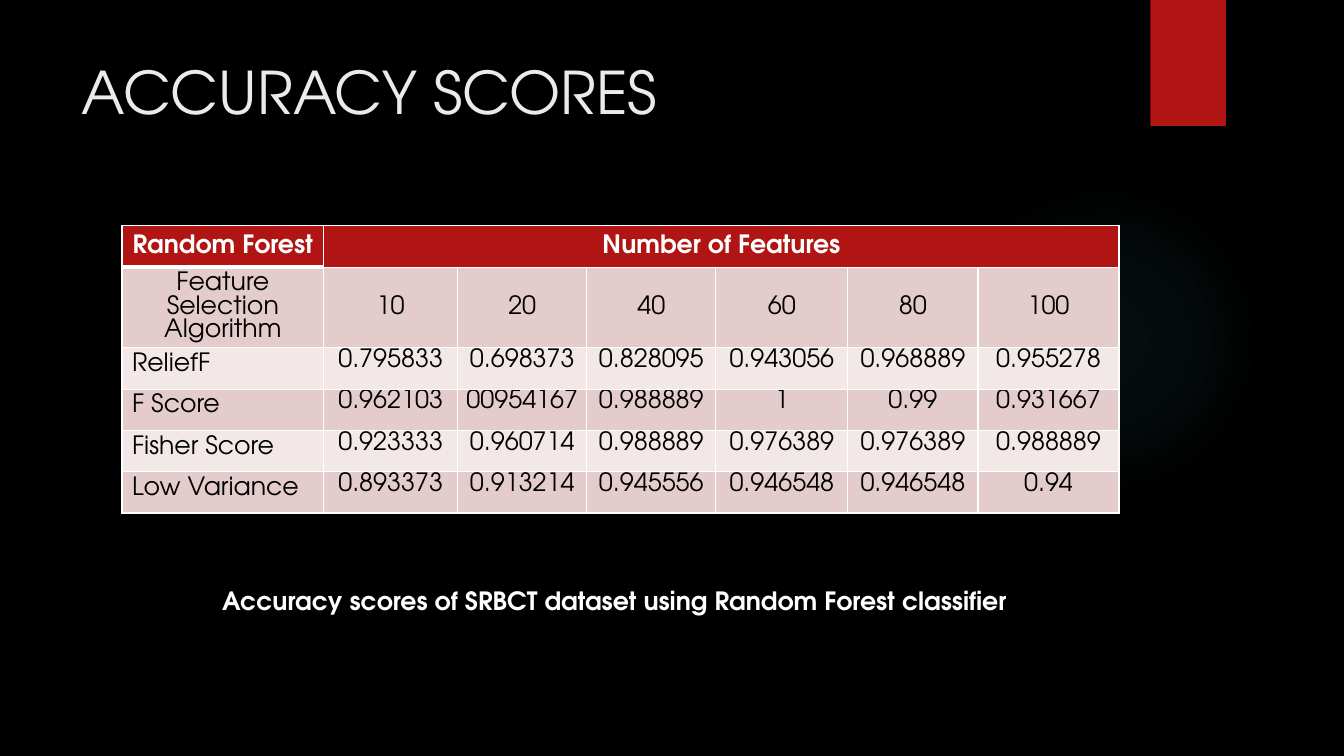
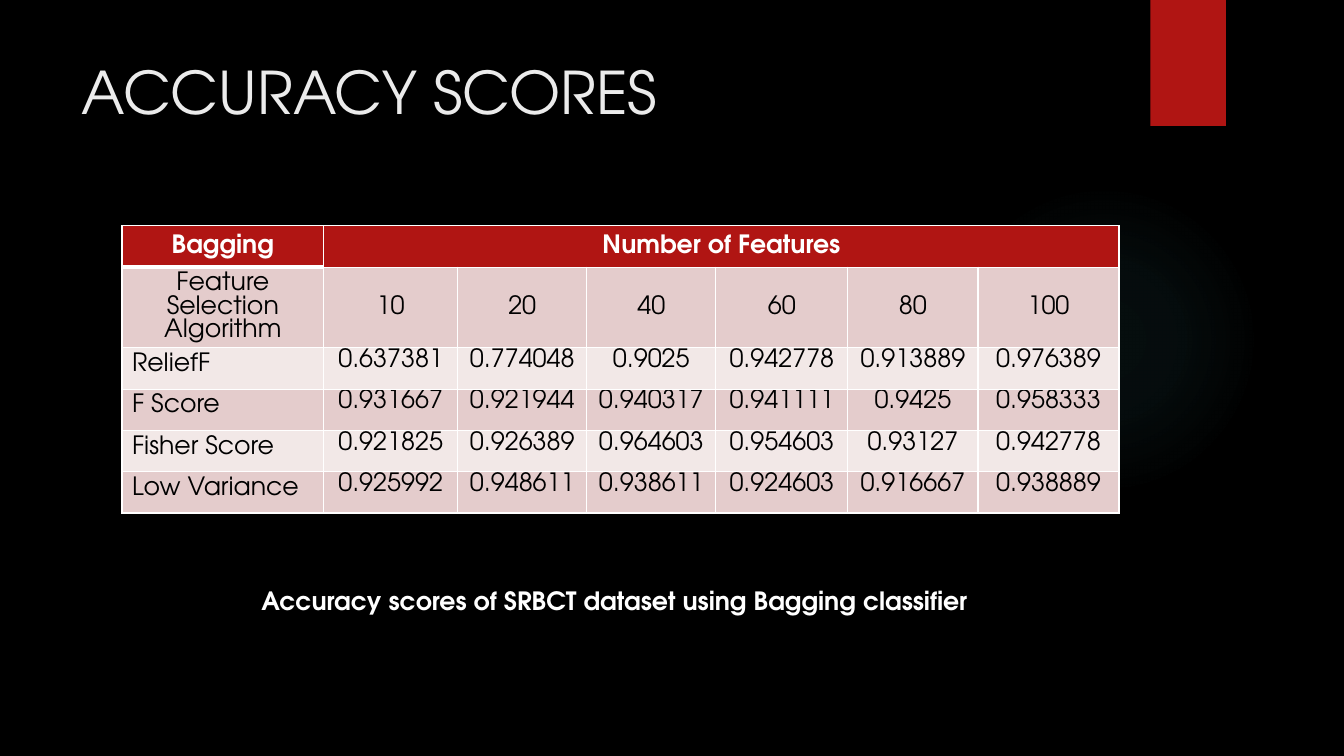
from lxml import etree
from pptx import Presentation
from pptx.dml.color import RGBColor
from pptx.enum.shapes import MSO_SHAPE
from pptx.enum.text import MSO_ANCHOR, MSO_AUTO_SIZE, PP_ALIGN
from pptx.oxml import parse_xml
from pptx.oxml.ns import nsdecls, qn
from pptx.util import Inches, Pt

LEFT, CENTER = PP_ALIGN.LEFT, PP_ALIGN.CENTER
TOP, MIDDLE = MSO_ANCHOR.TOP, MSO_ANCHOR.MIDDLE
NO_FIT = MSO_AUTO_SIZE.NONE
RECT, OVAL = MSO_SHAPE.RECTANGLE, MSO_SHAPE.OVAL

FONT = "TeX Gyre Adventor"
COLORS = {
    "back": "000000",
    "accent": "B01513",
    "glow": "50B9C1",
    "title": "EBEBEB",
    "light": "FFFFFF",
    "dark": "000000",
    "band": "E4CCCC",
    "band_pale": "F2E8E7",
}
GLOW_STOPS = [(0, 7), (36, 6), (69, 0)]

GLOW_BOX = (9.41, 1.83, 3.08, 3.08)
TAB_BOX = (11.41, 0, 0.75, 1.25)
TITLE_BOX = (0.71, 0.5, 10.29, 1.53)
TABLE_BOX = (1.21, 2.24, 9.9, 2.84)
CAPTION_BOX = (1.31, 5.76, 9.57, 0.4)

COL_WIDTHS = [2, 1.33, 1.28, 1.28, 1.31, 1.29, 1.4]
ROW_HEIGHTS = [0.41, 0.79, 0.41, 0.41, 0.41, 0.41]
FEATURE_COUNTS = ["10", "20", "40", "60", "80", "100"]
ALGORITHMS = ["ReliefF", "F Score", "Fisher Score", "Low Variance"]

CLASSIFIERS = {
    "Random Forest": [
        ["0.795833", "0.698373", "0.828095", "0.943056", "0.968889", "0.955278"],
        ["0.962103", "00954167", "0.988889", "1", "0.99", "0.931667"],
        ["0.923333", "0.960714", "0.988889", "0.976389", "0.976389", "0.988889"],
        ["0.893373", "0.913214", "0.945556", "0.946548", "0.946548", "0.94"],
    ],
    "Bagging": [
        ["0.637381", "0.774048", "0.9025", "0.942778", "0.913889", "0.976389"],
        ["0.931667", "0.921944", "0.940317", "0.941111", "0.9425", "0.958333"],
        ["0.921825", "0.926389", "0.964603", "0.954603", "0.93127", "0.942778"],
        ["0.925992", "0.948611", "0.938611", "0.924603", "0.916667", "0.938889"],
    ],
}


def rgb(name):
    return RGBColor.from_string(COLORS[name])


def inches(box):
    return [Inches(v) for v in box]


def set_attrs(target, values):
    for name, value in values.items():
        setattr(target, name, value)


def write(tf, text, color, size=18, bold=False, align=CENTER, spacing=None):
    p = tf.paragraphs[0]
    set_attrs(p, {"alignment": align, "line_spacing": spacing})
    r = p.add_run()
    r.text = text
    set_attrs(r.font, {"name": FONT, "size": Pt(size), "bold": bold})
    r.font.color.rgb = rgb(color)


def add_plain_shape(s, kind, box, color):
    sp = s.shapes.add_shape(kind, *inches(box))
    sp.shadow.inherit = False
    sp.fill.solid()
    sp.fill.fore_color.rgb = rgb(color)
    sp.line.fill.background()
    return sp


def add_glow(s, box):
    sp = add_plain_shape(s, OVAL, box, "glow")
    stops = "".join(
        f'<a:gs pos="{pos * 1000}"><a:srgbClr val="{COLORS["glow"]}">'
        f'<a:alpha val="{alpha * 1000}"/></a:srgbClr></a:gs>'
        for pos, alpha in GLOW_STOPS
    )
    grad = parse_xml(
        f'<a:gradFill {nsdecls("a")}><a:gsLst>{stops}</a:gsLst><a:path path="circle">'
        '<a:fillToRect l="50000" t="50000" r="50000" b="50000"/></a:path></a:gradFill>'
    )
    props = sp.element.spPr
    props.replace(props.find(qn("a:solidFill")), grad)


def add_title(s, box, text):
    sp = s.shapes.title
    set_attrs(sp, dict(zip(("left", "top", "width", "height"), inches(box))))
    tf = sp.text_frame
    set_attrs(tf, {"auto_size": NO_FIT, "word_wrap": True, "vertical_anchor": TOP})
    write(tf, text, "title", 42, align=LEFT)


def add_borders(cell, **widths):
    props = cell._tc.get_or_add_tcPr()
    for side in "LRTB":
        width = Pt(widths.get(side, 1))
        line = etree.SubElement(props, qn(f"a:ln{side}"), w=str(width))
        fill = etree.SubElement(line, qn("a:solidFill"))
        etree.SubElement(fill, qn("a:srgbClr"), val=COLORS["light"])


def format_cell(cell, row, col, text):
    header, score = row == 0, row > 1 and col > 0
    heavy = {0: {"B": 3}, 1: {"T": 3}}.get(row, {}) if col == 0 else {}
    add_borders(cell, **heavy)
    cell.fill.solid()
    cell.fill.fore_color.rgb = rgb("accent" if header else "band" if row % 2 else "band_pale")
    cell.vertical_anchor = MIDDLE if row < 2 else TOP
    if score:
        set_attrs(cell, {"margin_left": Inches(0.07), "margin_right": Inches(0.07),
                         "margin_top": 0, "margin_bottom": 0})
    if text:
        write(cell.text_frame, text, "light" if header else "dark", bold=header,
              align=LEFT if row > 1 and col == 0 else CENTER,
              spacing=1.05 if score else None)


def add_score_table(s, box, classifier, scores):
    rows = [
        [classifier, "Number of Features"] + [""] * (len(FEATURE_COUNTS) - 1),
        ["Feature Selection Algorithm"] + FEATURE_COUNTS,
    ] + [[name] + values for name, values in zip(ALGORITHMS, scores)]
    table = s.shapes.add_table(len(rows), len(COL_WIDTHS), *inches(box)).table
    set_attrs(table, {"first_row": False, "horz_banding": False})
    for column, width in zip(table.columns, COL_WIDTHS):
        column.width = Inches(width)
    for row, height in zip(table.rows, ROW_HEIGHTS):
        row.height = Inches(height)
    table.cell(0, 1).merge(table.cell(0, len(COL_WIDTHS) - 1))
    for i, texts in enumerate(rows):
        for j, text in enumerate(texts):
            format_cell(table.cell(i, j), i, j, text)


def add_caption(s, box, text):
    tf = s.shapes.add_textbox(*inches(box)).text_frame
    tf.word_wrap = True
    write(tf, text, "light", bold=True)


def add_score_slide(prs, classifier, scores):
    s = prs.slides.add_slide(prs.slide_layouts[5])
    add_glow(s, GLOW_BOX)
    add_plain_shape(s, RECT, TAB_BOX, "accent")
    add_title(s, TITLE_BOX, "ACCURACY SCORES")
    add_score_table(s, TABLE_BOX, classifier, scores)
    add_caption(s, CAPTION_BOX, f"Accuracy scores of SRBCT dataset using {classifier} classifier")


def main():
    prs = Presentation()
    set_attrs(prs, {"slide_width": Inches(13.33), "slide_height": Inches(7.5)})
    back = prs.slide_master.background.fill
    back.solid()
    back.fore_color.rgb = rgb("back")
    for classifier, scores in CLASSIFIERS.items():
        add_score_slide(prs, classifier, scores)
    prs.save("out.pptx")


if __name__ == "__main__":
    main()
